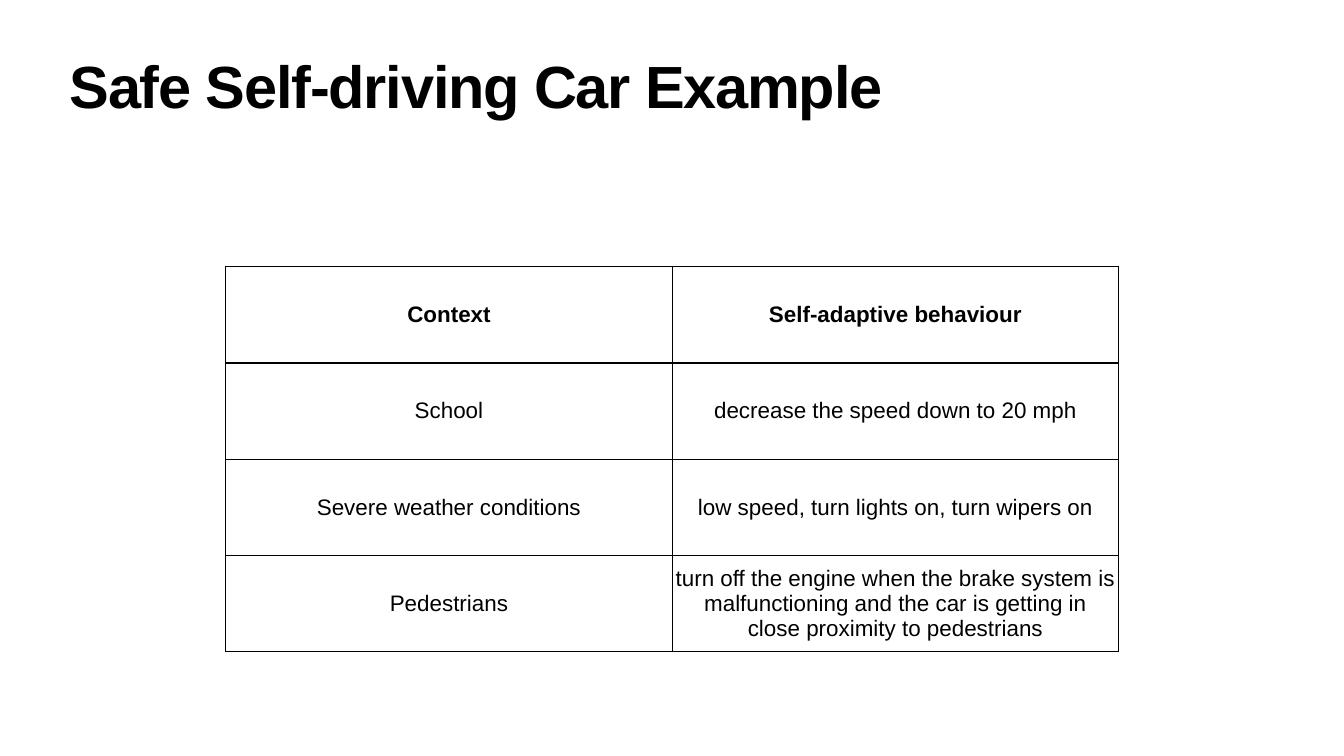
from typing import NamedTuple

from lxml.etree import SubElement
from pptx import Presentation
from pptx.dml.color import RGBColor
from pptx.enum.text import MSO_ANCHOR as Anchor, PP_ALIGN as Align
from pptx.oxml.ns import qn
from pptx.util import Inches, Pt

BLACK = RGBColor(0x00, 0x00, 0x00)
FONT = "Arial"
SLIDE_WIDTH, SLIDE_HEIGHT = 26.67, 15
INSET = Inches(0.06)
THIN, THICK = 1, 3


class Behaviour(NamedTuple):
    context: str
    response: str


HEADER = Behaviour("Context", "Self-adaptive behaviour")
BEHAVIOURS = [
    Behaviour("School", "decrease the speed down to 20 mph"),
    Behaviour("Severe weather conditions", "low speed, turn lights on, turn wipers on"),
    Behaviour(
        "Pedestrians",
        "turn off the engine when the brake system is malfunctioning "
        "and the car is getting in close proximity to pedestrians",
    ),
]


def write_text(frame, text: str, *, size: float, bold: bool = False,
               align=Align.LEFT, line_spacing: float = 1.0, tracking: float = 0) -> None:
    """Write one formatted paragraph; tracking is letter spacing in points."""
    frame.word_wrap = True
    para = frame.paragraphs[0]
    para.alignment = align
    para.line_spacing = line_spacing
    span = para.add_run()
    span.text = text
    font = span.font
    font.name, font.size, font.bold = FONT, Pt(size), bold
    font.color.rgb = BLACK
    if tracking:
        font._element.set("spc", str(round(tracking * 100)))


def set_insets(holder) -> None:
    holder.margin_left = holder.margin_right = INSET
    holder.margin_top = holder.margin_bottom = INSET


def set_borders(cell, *, top: float, bottom: float) -> None:
    properties = cell._tc.get_or_add_tcPr()
    widths = {"lnL": THIN, "lnR": THIN, "lnT": top, "lnB": bottom}
    for position, (side, width) in enumerate(widths.items()):
        line = SubElement(properties, qn(f"a:{side}"), w=str(Pt(width)))
        fill = SubElement(line, qn("a:solidFill"))
        SubElement(fill, qn("a:srgbClr"), val=str(BLACK))
        properties.insert(position, line)


def add_title(page, text: str) -> None:
    box = page.shapes.add_textbox(Inches(1.32), Inches(1.18), Inches(19.23), Inches(1.57))
    set_insets(box.text_frame)
    write_text(box.text_frame, text, size=85, bold=True, line_spacing=0.8, tracking=-1.7)


def add_behaviour_table(page, rows: list[Behaviour]) -> None:
    """Add the table with its first row as a header over a thick rule."""
    column_width, row_height = Inches(8.86), Inches(1.91)
    column_count = len(Behaviour._fields)
    table = page.shapes.add_table(
        len(rows), column_count, Inches(4.48), Inches(5.29),
        column_width * column_count, row_height * len(rows),
    ).table
    table.horz_banding = False
    for row_index, behaviour in enumerate(rows):
        is_header = row_index == 0
        for column_index, text in enumerate(behaviour):
            cell = table.cell(row_index, column_index)
            cell.fill.background()
            cell.vertical_anchor = Anchor.MIDDLE
            set_insets(cell)
            set_borders(cell, top=THICK if row_index == 1 else THIN,
                        bottom=THICK if is_header else THIN)
            write_text(cell.text_frame, text, size=32, bold=is_header, align=Align.CENTER)


def main() -> None:
    deck = Presentation()
    deck.slide_width, deck.slide_height = Inches(SLIDE_WIDTH), Inches(SLIDE_HEIGHT)
    page = deck.slides.add_slide(deck.slide_layouts[6])
    add_title(page, "Safe Self-driving Car Example")
    add_behaviour_table(page, [HEADER, *BEHAVIOURS])
    deck.save("out.pptx")


if __name__ == "__main__":
    main()
